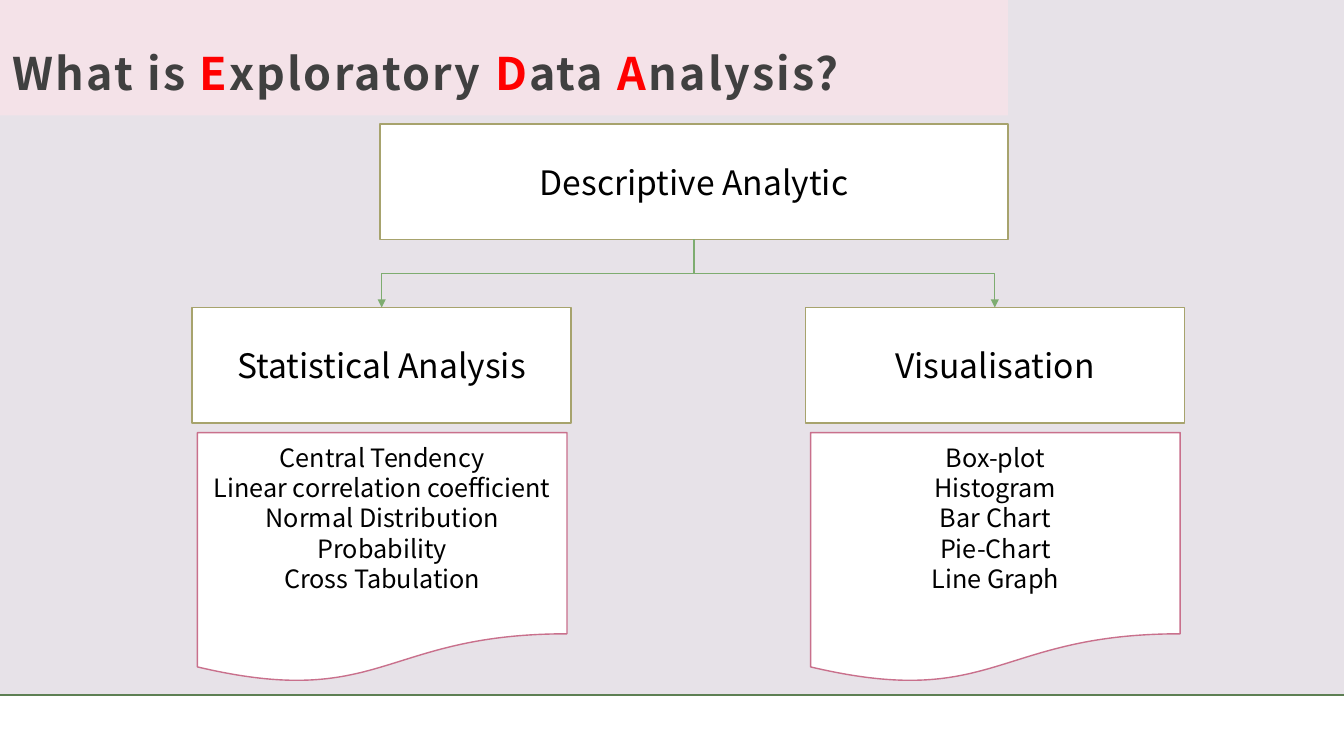
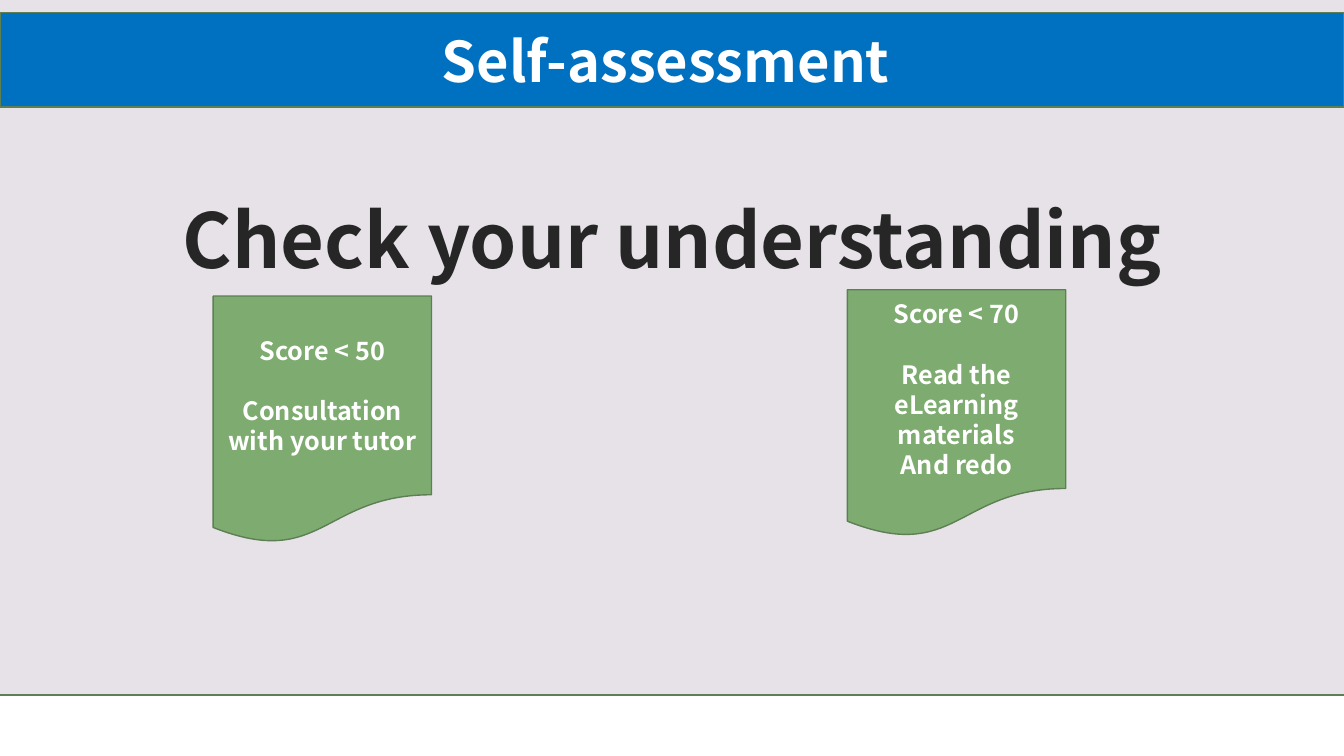
"""Build two slides on exploratory data analysis and its self-assessment."""
from dataclasses import dataclass

from lxml.etree import SubElement
from pptx import Presentation
from pptx.dml.color import RGBColor
from pptx.enum.shapes import MSO_CONNECTOR, MSO_SHAPE
from pptx.enum.text import MSO_ANCHOR, PP_ALIGN
from pptx.oxml.ns import qn
from pptx.util import Pt

PX = 9525


@dataclass(frozen=True)
class Theme:
    font: str = "Noto Sans CJK JP"
    backdrop: str = "E7E2E8"
    white: str = "FFFFFF"
    black: str = "000000"
    title_fill: str = "F4E2E8"
    title_ink: str = "404040"
    initial: str = "FF0000"
    headline_ink: str = "262626"
    banner: str = "0070C0"
    olive: str = "A7A36D"
    rose: str = "C9708C"
    green: str = "7EAC70"
    dark_green: str = "5D7F53"
    title_size: int = 32
    banner_size: int = 40
    headline_size: int = 54
    box_size: int = 24
    body_size: int = 18


theme = Theme()


def add_panel(slide, kind, box, fill, line=None):
    panel = slide.shapes.add_shape(kind, *(length * PX for length in box))
    panel.shadow.inherit = False
    panel.fill.solid()
    panel.fill.fore_color.rgb = RGBColor.from_string(fill)
    if line:
        panel.line.color.rgb = RGBColor.from_string(line)
        panel.line.width = Pt(1)
    else:
        panel.line.fill.background()
    return panel


def write(panel, lines, size, bold=False, align=PP_ALIGN.CENTER):
    frame = panel.text_frame
    for index, runs in enumerate(lines):
        paragraph = frame.add_paragraph() if index else frame.paragraphs[0]
        paragraph.alignment = align
        for text, color in runs:
            run = paragraph.add_run()
            run.text = text
            run.font.name = theme.font
            run.font.size = Pt(size)
            run.font.bold = bold
            run.font.color.rgb = RGBColor.from_string(color)
    return frame


deck = Presentation()
deck.slide_width = 1280 * PX
deck.slide_height = 720 * PX
backdrop = deck.slide_master.background.fill
backdrop.solid()
backdrop.fore_color.rgb = RGBColor.from_string(theme.backdrop)

overview, assessment = (deck.slides.add_slide(deck.slide_layouts[6]) for _ in range(2))
for slide in (overview, assessment):
    add_panel(slide, MSO_SHAPE.RECTANGLE, (-15, 662, 1321, 68), theme.white, theme.dark_green)

title = add_panel(overview, MSO_SHAPE.RECTANGLE, (0, 0, 960, 110), theme.title_fill)
title_runs = [
    ("What is ", theme.title_ink),
    ("E", theme.initial),
    ("xploratory ", theme.title_ink),
    ("D", theme.initial),
    ("ata ", theme.title_ink),
    ("A", theme.initial),
    ("nalysis?", theme.title_ink),
]
title_frame = write(title, [title_runs], theme.title_size, True, PP_ALIGN.LEFT)
title_frame.margin_left = title_frame.margin_right = title_frame.margin_top = 12 * PX
title_frame.margin_bottom = 10 * PX
title_frame.paragraphs[0].line_spacing = 1.5
for run in title_frame.paragraphs[0].runs:
    run.font._element.set("spc", "150")

descriptive = add_panel(
    overview, MSO_SHAPE.RECTANGLE, (362, 118, 598, 110), theme.white, theme.olive
)
write(descriptive, [[("Descriptive Analytic", theme.black)]], theme.box_size)

branches = [
    (183, "Statistical Analysis", [
        "Central Tendency",
        "Linear correlation coefficient",
        "Normal Distribution",
        "Probability",
        "Cross Tabulation",
    ]),
    (767, "Visualisation", ["Box-plot", "Histogram", "Bar Chart", "Pie-Chart", "Line Graph"]),
]
for left, heading, methods in branches:
    branch = add_panel(
        overview, MSO_SHAPE.RECTANGLE, (left, 293, 361, 110), theme.white, theme.olive
    )
    write(branch, [[(heading, theme.black)]], theme.box_size)

    arrow = overview.shapes.add_connector(MSO_CONNECTOR.ELBOW, 0, 0, 0, 0)
    arrow.begin_connect(descriptive, 2)
    arrow.end_connect(branch, 0)
    start = descriptive.left + descriptive.width // 2
    end = branch.left + branch.width // 2
    top = descriptive.top + descriptive.height
    drop, reach = branch.top - top, abs(end - start)
    arrow.left = (start + end - drop) // 2
    arrow.top = top + (drop - reach) // 2
    arrow.width, arrow.height = drop, reach
    turn = arrow._element.spPr.find(qn("a:xfrm"))
    turn.set("rot", str((270 if end > start else 90) * 60000))
    turn.set("flipH", "1" if end > start else "0")
    turn.set("flipV", "0")
    arrow.line.color.rgb = RGBColor.from_string(theme.green)
    arrow.line.width = Pt(0.75)
    SubElement(arrow.line._get_or_add_ln(), qn("a:tailEnd"), type="triangle")
    SubElement(arrow._element.spPr, qn("a:effectLst"))

    methods_sheet = add_panel(
        overview, MSO_SHAPE.FLOWCHART_DOCUMENT, (left + 5, 412, 352, 239), theme.white, theme.rose
    )
    methods_frame = write(
        methods_sheet, [[(method, theme.black)] for method in methods], theme.body_size
    )
    methods_frame.margin_bottom = 34 * PX

banner = add_panel(
    assessment, MSO_SHAPE.RECTANGLE, (0, 12, 1280, 90), theme.banner, theme.dark_green
)
write(banner, [[("Self-assessment ", theme.white)]], theme.banner_size, True)

headline = assessment.shapes.add_textbox(123 * PX, 179 * PX, 1034 * PX, 97 * PX)
headline_frame = write(
    headline, [[("Check your understanding", theme.headline_ink)]], theme.headline_size, True
)
headline_frame.word_wrap = False
headline_frame.vertical_anchor = MSO_ANCHOR.TOP

outcomes = [
    (203, 282, ["Score < 50", "Consultation with your tutor"]),
    (807, 276, ["Score < 70", "Read the eLearning materials", "And redo"]),
]
for left, top, advice in outcomes:
    outcome = add_panel(
        assessment, MSO_SHAPE.FLOWCHART_DOCUMENT, (left, top, 208, 236),
        theme.green, theme.dark_green,
    )
    outcome_frame = write(
        outcome, [[(line, theme.white)] for line in advice], theme.body_size, True
    )
    outcome_frame.paragraphs[1].space_before = Pt(21.6)

deck.save("out.pptx")
